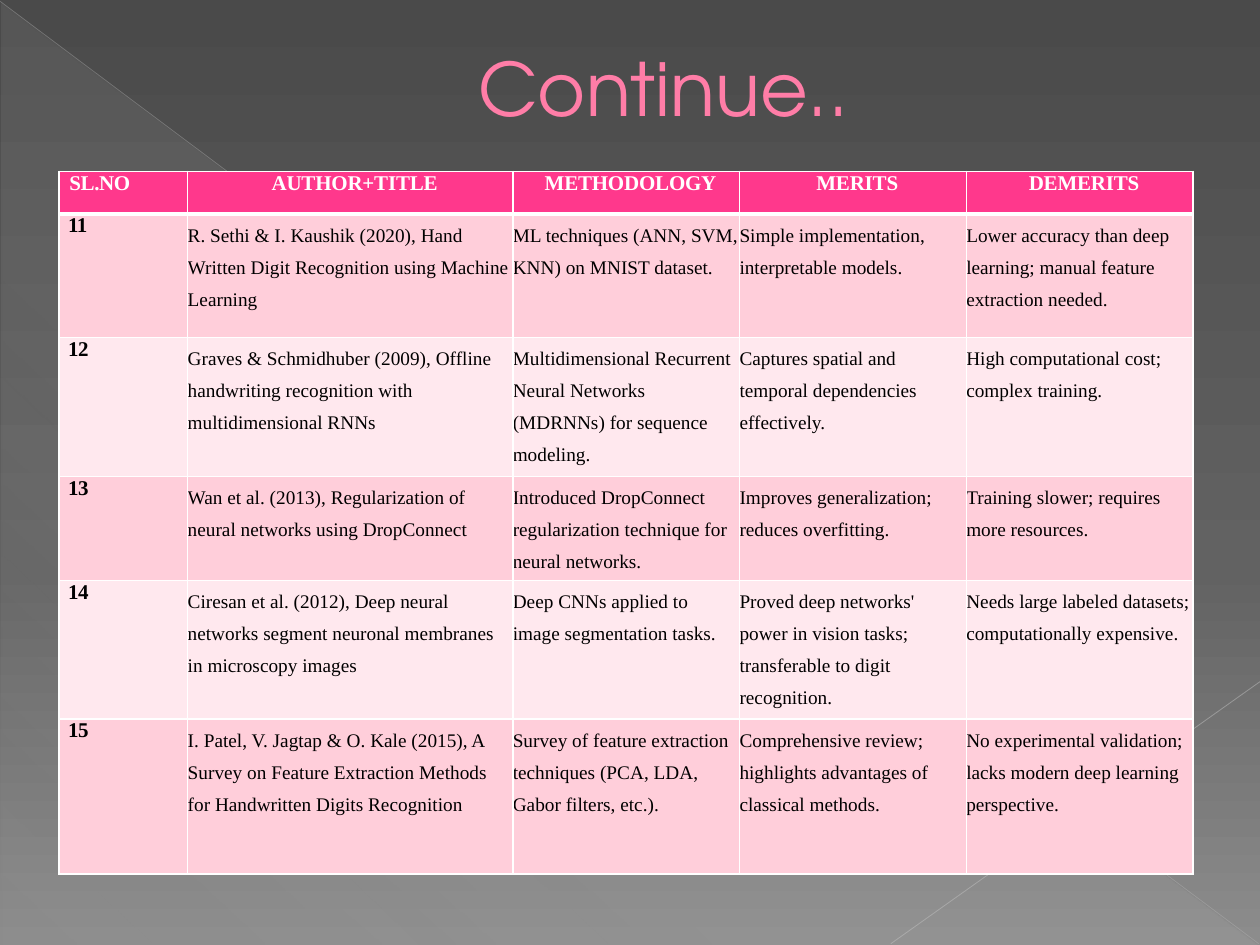
from lxml import etree
from pptx import Presentation, util as u
from pptx.dml.color import RGBColor
from pptx.enum import shapes, text
from pptx.oxml.ns import qn

COLORS = {
    "title": "FF7DA7", "title_edge": "B12761", "header": "FF388C",
    "odd": "FFCEDA", "even": "FFE8EE", "white": "FFFFFF", "black": "000000",
    "sheen": "D2D2D2", "diagonal": "BFBFBF", "corner": "C6C6C6",
}
BACKDROP = [(0, "4A4A4A", 100), (60, "626262", 100), (100, "8C8C8C", 100)]
SHEEN = [(0, COLORS["sheen"], 10), (70, COLORS["sheen"], 8), (100, COLORS["sheen"], 1)]

COL_WIDTHS = [1.02, 2.58, 1.8, 1.8, 1.8]
ROW_HEIGHTS = [0.34, 0.98, 0.98, 0.73, 0.98, 1.23]
HEADERS = ["SL.NO", "AUTHOR+TITLE", "METHODOLOGY", "MERITS", "DEMERITS"]
PAPERS = [
    ["11",
     "R. Sethi & I. Kaushik (2020), Hand Written Digit Recognition using Machine Learning",
     "ML techniques (ANN, SVM, KNN) on MNIST dataset.",
     "Simple implementation, interpretable models.",
     "Lower accuracy than deep learning; manual feature extraction needed."],
    ["12",
     "Graves & Schmidhuber (2009), Offline handwriting recognition with multidimensional RNNs",
     "Multidimensional Recurrent Neural Networks (MDRNNs) for sequence modeling.",
     "Captures spatial and temporal dependencies effectively.",
     "High computational cost; complex training."],
    ["13",
     "Wan et al. (2013), Regularization of neural networks using DropConnect",
     "Introduced DropConnect regularization technique for neural networks.",
     "Improves generalization; reduces overfitting.",
     "Training slower; requires more resources."],
    ["14",
     "Ciresan et al. (2012), Deep neural networks segment neuronal membranes in microscopy images",
     "Deep CNNs applied to image segmentation tasks.",
     "Proved deep networks' power in vision tasks; transferable to digit recognition.",
     "Needs large labeled datasets; computationally expensive."],
    ["15",
     "I. Patel, V. Jagtap & O. Kale (2015), A Survey on Feature Extraction Methods "
     "for Handwritten Digits Recognition",
     "Survey of feature extraction techniques (PCA, LDA, Gabor filters, etc.).",
     "Comprehensive review; highlights advantages of classical methods.",
     "No experimental validation; lacks modern deep learning perspective."],
]


def rgb(name):
    return RGBColor.from_string(COLORS[name])


def add_color(parent, value, alpha=100):
    clr = etree.SubElement(parent, qn("a:srgbClr"), val=value)
    if alpha < 100:
        etree.SubElement(clr, qn("a:alpha"), val=str(alpha * 1000))


def make_line(tag, name, width):
    ln = etree.Element(qn(tag), w=str(u.Pt(width)))
    add_color(etree.SubElement(ln, qn("a:solidFill")), COLORS[name])
    return ln


def set_gradient(owner, fill, stops, angle):
    """Fill with (position, colour, opacity) stops at a clockwise angle."""
    fill.gradient()
    grad = owner._element.find(".//" + qn("a:gradFill"))
    stop_list = grad.find(qn("a:gsLst"))
    for old in list(stop_list):
        stop_list.remove(old)
    for pos, value, alpha in stops:
        gs = etree.SubElement(stop_list, qn("a:gs"), pos=str(pos * 1000))
        add_color(gs, value, alpha)
    grad.find(qn("a:lin")).set("ang", str(angle * 60000))


def add_faint_line(s, start, end, name, width, alpha):
    line = s.shapes.add_connector(
        shapes.MSO_CONNECTOR.STRAIGHT, *map(u.Inches, start + end))
    line.line.width = u.Pt(width)
    line.line.color.rgb = rgb(name)
    clr = line._element.find(".//" + qn("a:srgbClr"))
    etree.SubElement(clr, qn("a:alpha"), val=str(alpha * 1000))
    etree.SubElement(line._element.spPr, qn("a:effectLst"))


def add_backdrop(s, left, top, width, height):
    set_gradient(s, s.background.fill, BACKDROP, 90)
    right, bottom = left + width, top + height
    sp = s.shapes.add_shape(
        shapes.MSO_SHAPE.RIGHT_TRIANGLE,
        *map(u.Inches, (left + 0.01, top + 0.02, width - 0.02, height - 0.02)))
    sp.shadow.inherit = False
    sp.line.fill.background()
    set_gradient(sp, sp.fill, SHEEN, 133)
    add_faint_line(s, (left, top + 0.01), (right - 0.01, bottom - 0.01),
                   "diagonal", 0.39, 35)
    add_faint_line(s, (right, top + 5.41), (left + 7.07, bottom - 0.01),
                   "corner", 0.47, 45)


def style_paragraph(p, font, size, color, bold=False, spacing=0, indent=0):
    p._p.get_or_add_pPr().set("marL", str(u.Inches(indent)))
    for r in p.runs:
        r.font.name, r.font.size, r.font.bold = font, u.Pt(size), bold
        r.font.color.rgb = rgb(color)
        if spacing:
            r._r.get_or_add_rPr().set("spc", str(round(spacing * 100)))


def add_title(s, left, top, width, height):
    tf = s.shapes.add_textbox(*map(u.Inches, (left, top, width, height))).text_frame
    tf.word_wrap = True
    tf.vertical_anchor = text.MSO_ANCHOR.MIDDLE
    p = tf.paragraphs[0]
    p.text = "Continue.."
    p.alignment = text.PP_ALIGN.CENTER
    style_paragraph(p, "TeX Gyre Adventor", 42, "title", indent=0.53)
    p.runs[0].font._element.insert(0, make_line("a:ln", "title_edge", 0.5))


def fill_cell(cell, row, col, value):
    cell.margin_left = cell.margin_top = cell.margin_right = cell.margin_bottom = 0
    p = cell.text_frame.paragraphs[0]
    p.text = value
    font = "Times New Roman"
    if row == 0:
        p.line_spacing = u.Pt(13.8)
        if col:
            p.alignment = text.PP_ALIGN.CENTER
        style_paragraph(p, font, 12, "white", True, -0.1 if col else -0.2,
                        0.07 if col else 0.08)
    elif col == 0:
        p.space_before = u.Pt(7)
        style_paragraph(p, font, 12, "black", True, -0.2, 0.07)
    else:
        p.line_spacing = 1.5
        style_paragraph(p, font, 11, "black")
    cell.fill.solid()
    cell.fill.fore_color.rgb = rgb("header" if row == 0 else "odd" if row % 2 else "even")
    # The rule under the header belongs to both rows that share it.
    widths = {"L": 1, "R": 1, "T": 3 if row == 1 else 1, "B": 3 if row == 0 else 1}
    tc_pr = cell._tc.get_or_add_tcPr()
    for i, (side, width) in enumerate(widths.items()):
        tc_pr.insert(i, make_line("a:ln" + side, "white", width))


def add_paper_table(s, left, top, width, height):
    rows = [HEADERS] + PAPERS
    table = s.shapes.add_table(
        len(rows), len(HEADERS), *map(u.Inches, (left, top, width, height))).table
    for column, share in zip(table.columns, COL_WIDTHS):
        column.width = u.Inches(width * share / sum(COL_WIDTHS))
    for row, row_height in zip(table.rows, ROW_HEIGHTS):
        row.height = u.Inches(row_height)
    for i, values in enumerate(rows):
        for j, value in enumerate(values):
            fill_cell(table.cell(i, j), i, j, value)


def main():
    prs = Presentation()
    prs.slide_width, prs.slide_height = u.Inches(10), u.Inches(7.5)
    s = prs.slides.add_slide(prs.slide_layouts[6])
    add_backdrop(s, 0, 0, 10, 7.5)
    add_title(s, 0.5, 0.29, 9, 0.8)
    add_paper_table(s, 0.47, 1.36, 9, sum(ROW_HEIGHTS))
    prs.save("out.pptx")


if __name__ == "__main__":
    main()
